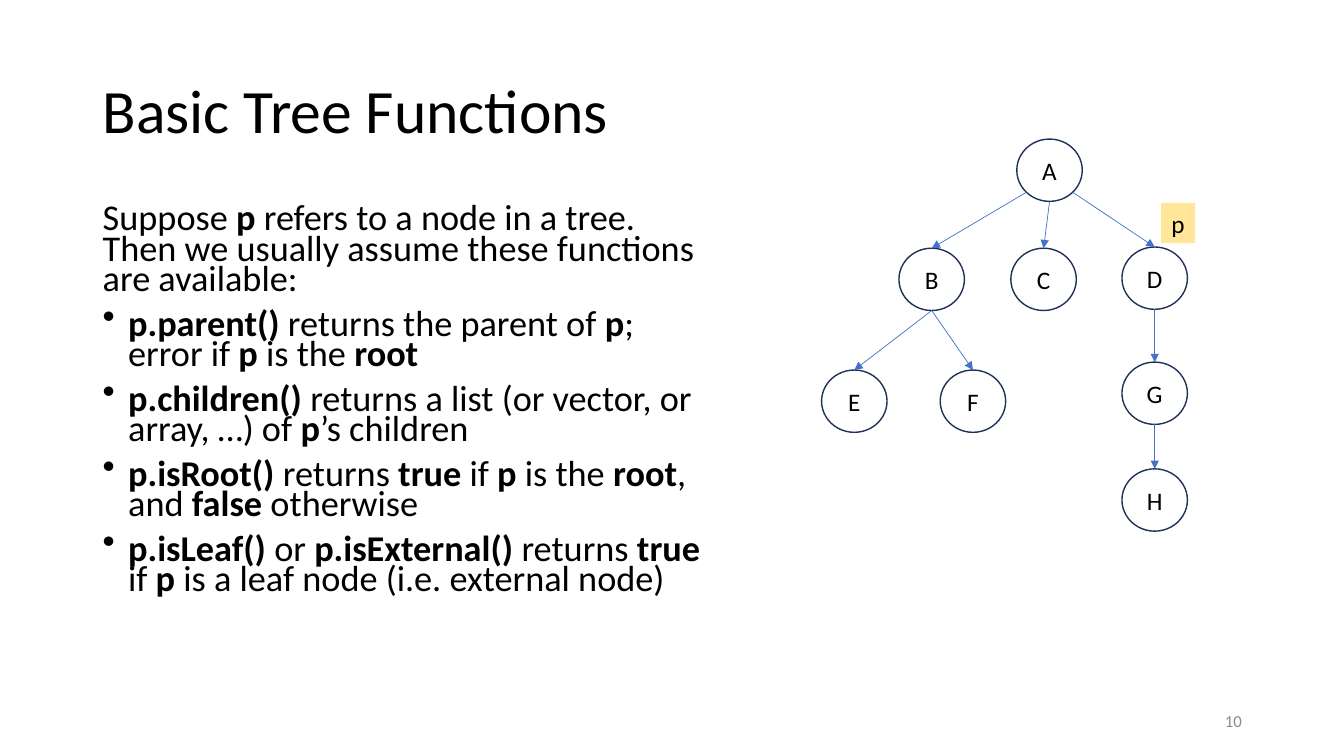
"""Builds the slide on basic tree functions, with a sample tree."""
from math import sqrt

from lxml.etree import SubElement
from pptx import Presentation
from pptx.dml.color import RGBColor
from pptx.enum.shapes import MSO_CONNECTOR as Line, MSO_SHAPE as Shape
from pptx.enum.text import MSO_ANCHOR as Anchor, PP_ALIGN as Align
from pptx.oxml.ns import qn
from pptx.util import Cm, Pt

NODE_WIDTH, NODE_HEIGHT = 1.65, 1.57
LEVEL_TWO, LEVEL_THREE = 7.04, 10.11
RIGHT_BRANCH = 29.1
NODES = {
    "A": (26.45, 4.29),
    "B": (23.48, LEVEL_TWO),
    "C": (26.3, LEVEL_TWO),
    "D": (RIGHT_BRANCH, 7.01),
    "E": (21.53, LEVEL_THREE),
    "F": (24.52, LEVEL_THREE),
    "G": (RIGHT_BRANCH, 9.91),
    "H": (RIGHT_BRANCH, 12.6),
}
EDGES = [("A", "B", -1), ("A", "C", 0), ("A", "D", 1), ("B", "E", 0),
         ("B", "F", 0), ("D", "G", 0), ("G", "H", 0)]

INTRO = ("Suppose *p* refers to a node in a tree. Then we usually assume "
         "these functions are available:")
FUNCTIONS = [
    "*p.parent()* returns the parent of *p*; error if *p* is the *root*",
    "*p.children() *returns a list (or vector, or array, …) of *p*’s children",
    "*p.isRoot() *returns *true* if *p* is the *root*, and *false* otherwise",
    "*p.isLeaf()* or *p.isExternal()* returns *true* if *p* is a leaf node "
    "(i.e. external node)",
]


def color(hex_code):
    """Turn a hex string into a colour."""
    return RGBColor.from_string(hex_code)


def assign(target, values):
    """Set each named attribute on the target."""
    for name, value in values.items():
        setattr(target, name, value)


class TreeSlide:
    """Holds the style and the slide being filled."""

    font = "Calibri"
    ink, outline, arrow, highlight, muted = (
        "000000", "1E3256", "4472C4", "FFE699", "8C8C8C")

    def __init__(self, deck):
        """Add a blank slide to the deck."""
        self.slide = deck.slides.add_slide(deck.slide_layouts[6])
        self.shapes = self.slide.shapes

    def add_words(self, paragraph, marked, size, ink=None, **layout):
        """Fill a paragraph, with the words between asterisks in bold."""
        assign(paragraph, layout)
        for position, words in enumerate(marked.split("*")):
            if words:
                run = paragraph.add_run()
                run.text = words
                assign(run.font, {"name": self.font, "size": Pt(size),
                                  "bold": position % 2 == 1})
                run.font.color.rgb = color(ink or self.ink)

    def text_box(self, box, anchor=Anchor.TOP):
        """Add a wrapping text box and return its frame."""
        frame = self.shapes.add_textbox(*map(Cm, box)).text_frame
        assign(frame, {"word_wrap": True, "vertical_anchor": anchor})
        return frame

    def line_of_text(self, words, box, size, ink=None, **layout):
        """Add a box with one vertically centred paragraph."""
        frame = self.text_box(box, Anchor.MIDDLE)
        self.add_words(frame.paragraphs[0], words, size, ink, **layout)

    def body(self, intro, bullets, box):
        """Add the introduction and its bulleted functions."""
        frame = self.text_box(box)
        layout = {"line_spacing": 0.7, "space_before": Pt(10)}
        self.add_words(frame.paragraphs[0], intro, 25.9, **layout)
        for bullet in bullets:
            paragraph = frame.add_paragraph()
            self.add_words(paragraph, bullet, 25.9, **layout)
            properties = paragraph._p.get_or_add_pPr()
            indent = Cm(0.64)
            properties.set("marL", str(indent))
            properties.set("indent", str(-indent))
            SubElement(properties, qn("a:buChar"), char="•")

    def labelled_shape(self, kind, label, box, fill=None, outline=None):
        """Add a shape with a centred label."""
        shape = self.shapes.add_shape(kind, *map(Cm, box))
        shape.shadow.inherit = False
        if fill:
            shape.fill.solid()
            shape.fill.fore_color.rgb = color(fill)
        else:
            shape.fill.background()
        if outline:
            shape.line.color.rgb = color(outline)
            shape.line.width = Pt(1)
        else:
            shape.line.fill.background()
        frame = shape.text_frame
        assign(frame, {"word_wrap": False, "vertical_anchor": Anchor.MIDDLE})
        self.add_words(frame.paragraphs[0], label, 18, alignment=Align.CENTER)

    def node(self, label, center):
        """Add a tree node around its centre."""
        x, y = center
        box = (x - NODE_WIDTH / 2, y - NODE_HEIGHT / 2, NODE_WIDTH, NODE_HEIGHT)
        self.labelled_shape(Shape.OVAL, label, box, outline=self.outline)

    def edge(self, parent, child, side):
        """Add an arrow from the lower edge of a parent to a child's top."""
        x, y = parent
        reach = 1 / sqrt(2) if side else 1
        start = (x + side * reach * NODE_WIDTH / 2, y + reach * NODE_HEIGHT / 2)
        end = (child[0], child[1] - NODE_HEIGHT / 2)
        arrow = self.shapes.add_connector(Line.STRAIGHT, *map(Cm, start + end))
        arrow.line.color.rgb = color(self.arrow)
        arrow.line.width = Pt(0.5)
        SubElement(arrow.line._get_or_add_ln(), qn("a:tailEnd"), type="triangle")
        SubElement(arrow._element.spPr, qn("a:effectLst"))


def main():
    """Build and save the slide."""
    deck = Presentation()
    assign(deck, {"slide_width": Cm(33.87), "slide_height": Cm(19.05)})
    page = TreeSlide(deck)
    page.line_of_text("Basic Tree Functions", (2.34, 1.02, 29.21, 3.68), 44,
                      line_spacing=0.9)
    page.body(INTRO, FUNCTIONS, (2.34, 5.08, 15.62, 12.09))
    for label, center in NODES.items():
        page.node(label, center)
    for parent, child, side in EDGES:
        page.edge(NODES[parent], NODES[child], side)
    page.labelled_shape(Shape.RECTANGLE, "p", (29.26, 5.11, 0.86, 1.02),
                        fill=page.highlight)
    page.line_of_text("10", (23.93, 17.65, 7.62, 1.02), 12, page.muted,
                      alignment=Align.RIGHT)
    deck.save("out.pptx")


if __name__ == "__main__":
    main()
